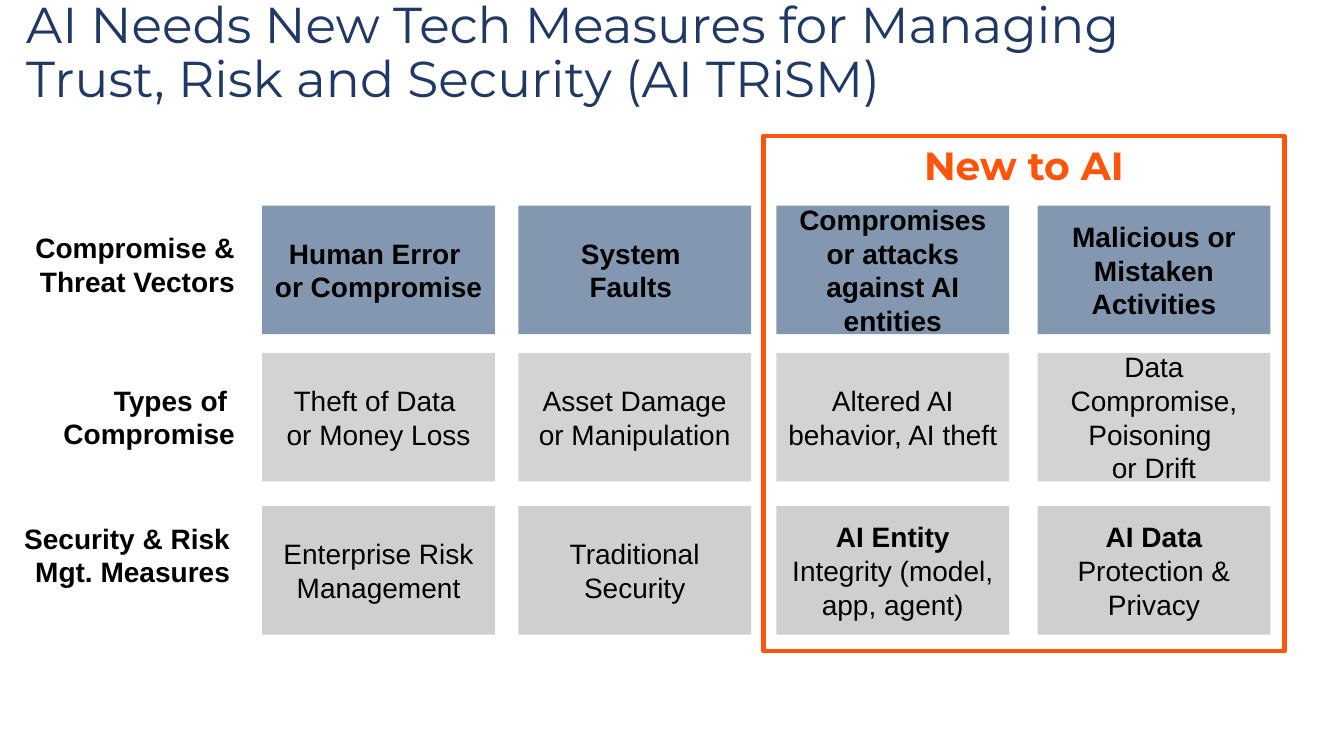
import pptx
import pptx.util
import pptx.dml.color
import pptx.enum.shapes
import pptx.enum.text

Inches = pptx.util.Inches
Align = pptx.enum.text.PP_ALIGN
Anchor = pptx.enum.text.MSO_ANCHOR

COLORS = {
    "navy": "203864",
    "black": "000000",
    "steel": "8497B0",
    "silver": "D3D3D3",
    "warm": "D0CECE",
    "orange": "FF540A",
}
SLIDE_SIZE = (13.33, 7.5)
COLUMN_LEFTS = (2.6, 5.14, 7.7, 10.29)
CELL_SIZE = (2.31, 1.275)
CELL_INSETS = (0.1, 0.05)

ROWS = [
    {
        "top": 0, "fill": "steel", "bold": True,
        "label": "Compromise & Threat Vectors",
        "label_box": (0.35, 0.25, 1.98, 0.76),
        "cells": [
            ("", "Human Error \nor Compromise "),
            ("", "System \nFaults "),
            ("", "Compromises or attacks against AI entities"),
            ("", "Malicious or Mistaken Activities"),
        ],
    },
    {
        "top": 1.46, "fill": "silver", "bold": False,
        "label": "Types of \nCompromise",
        "label_box": (0.54, 0.3, 1.79, 0.68),
        "cells": [
            ("", "Theft of Data \nor Money Loss"),
            ("", "Asset Damage or Manipulation"),
            ("", "Altered AI behavior, AI theft"),
            ("", "Data Compromise, Poisoning \nor Drift"),
        ],
    },
    {
        "top": 2.98, "fill": "warm", "bold": False,
        "label": "Security & Risk \nMgt. Measures ",
        "label_box": (0, 0.15, 2.36, 1.09),
        "cells": [
            ("", "Enterprise Risk Management"),
            ("", "Traditional Security"),
            ("AI Entity ", "Integrity (model, app, agent)"),
            ("AI Data ", "Protection & Privacy"),
        ],
    },
]


def rgb(name):
    """Return the named colour."""
    return pptx.dml.color.RGBColor.from_string(COLORS[name])


def style_run(run, size, color="black", bold=False, face="Arial"):
    """Format one run."""
    run.font.name = face
    run.font.size = pptx.util.Pt(size)
    run.font.bold = bold
    run.font.color.rgb = rgb(color)


def prepare_frame(frame, align, anchor=Anchor.TOP, insets=(0, 0)):
    """Set wrapping, insets and alignment, and return the first paragraph."""
    frame.word_wrap = True
    frame.auto_size = pptx.enum.text.MSO_AUTO_SIZE.NONE
    frame.vertical_anchor = anchor
    frame.margin_left = frame.margin_right = Inches(insets[0])
    frame.margin_top = frame.margin_bottom = Inches(insets[1])
    paragraph = frame.paragraphs[0]
    paragraph.alignment = align
    return paragraph


def add_label(slide, box, text, align, insets=(0, 0), **font):
    """Add a text box with one formatted paragraph."""
    label = slide.shapes.add_textbox(*map(Inches, box))
    paragraph = prepare_frame(label.text_frame, align, insets=insets)
    paragraph.text = text
    for run in paragraph.runs:
        style_run(run, **font)


def add_rectangle(slide, box):
    """Add a plain rectangle without shadow."""
    rectangle = slide.shapes.add_shape(
        pptx.enum.shapes.MSO_SHAPE.RECTANGLE, *map(Inches, box))
    rectangle.shadow.inherit = False
    return rectangle


def add_cell(slide, box, fill, lead, body, bold):
    """Add a filled cell whose optional lead is bold."""
    cell = add_rectangle(slide, box)
    cell.fill.solid()
    cell.fill.fore_color.rgb = rgb(fill)
    cell.line.fill.background()
    paragraph = prepare_frame(
        cell.text_frame, Align.CENTER, Anchor.MIDDLE, CELL_INSETS)
    paragraph.text = lead or body
    for run in paragraph.runs:
        style_run(run, 20, bold=bold or bool(lead))
    if lead:
        rest = paragraph.add_run()
        rest.text = body
        style_run(rest, 20)


def add_title(slide, box):
    """Place and format the slide title."""
    title = slide.shapes.title
    title.left, title.top, title.width, title.height = map(Inches, box)
    paragraph = prepare_frame(title.text_frame, Align.LEFT)
    paragraph.text = ("AI Needs New Tech Measures for Managing "
                      "Trust, Risk and Security (AI TRiSM)")
    paragraph.line_spacing = 0.9
    style_run(paragraph.runs[0], 36, "navy", face="Montserrat")


def add_matrix(slide, left, top):
    """Add the labelled rows of risk cells from the given corner."""
    for row in ROWS:
        row_top = top + row["top"]
        label_left, label_top, width, height = row["label_box"]
        add_label(slide, (left + label_left, row_top + label_top, width, height),
                  row["label"], Align.RIGHT, size=20, bold=True)
        for column, (lead, body) in zip(COLUMN_LEFTS, row["cells"]):
            add_cell(slide, (left + column, row_top, *CELL_SIZE),
                     row["fill"], lead, body, row["bold"])


def add_new_to_ai(slide, box):
    """Frame the columns that are new to AI, with a heading at the top."""
    left, top, width, height = box
    heading_width = 2.78
    heading_left = left + (width - heading_width) / 2
    add_label(slide, (heading_left, top, heading_width, 0.57), "New to AI",
              Align.CENTER, CELL_INSETS, size=28, color="orange", bold=True,
              face="Montserrat")
    outline = add_rectangle(slide, box)
    outline.fill.background()
    outline.line.color.rgb = rgb("orange")
    outline.line.width = pptx.util.Pt(3.25)


def main():
    """Build and save the slide."""
    deck = pptx.Presentation()
    deck.slide_width, deck.slide_height = map(Inches, SLIDE_SIZE)
    slide = deck.slides.add_slide(deck.slide_layouts[5])
    add_title(slide, (0.26, 0, 12.33, 0.48))
    add_matrix(slide, 0, 2.04)
    add_new_to_ai(slide, (7.57, 1.35, 5.17, 5.11))
    deck.save("out.pptx")


if __name__ == "__main__":
    main()
